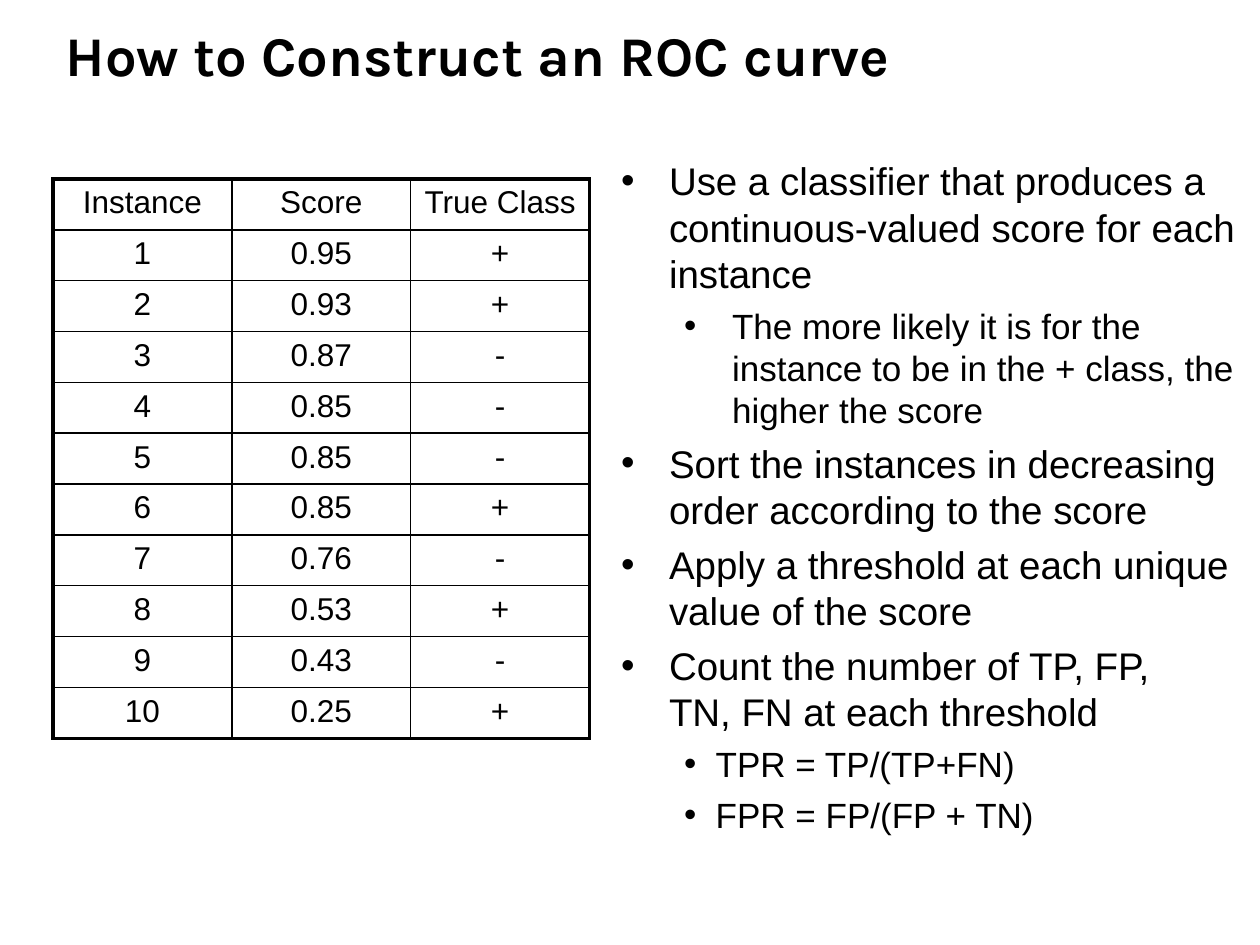
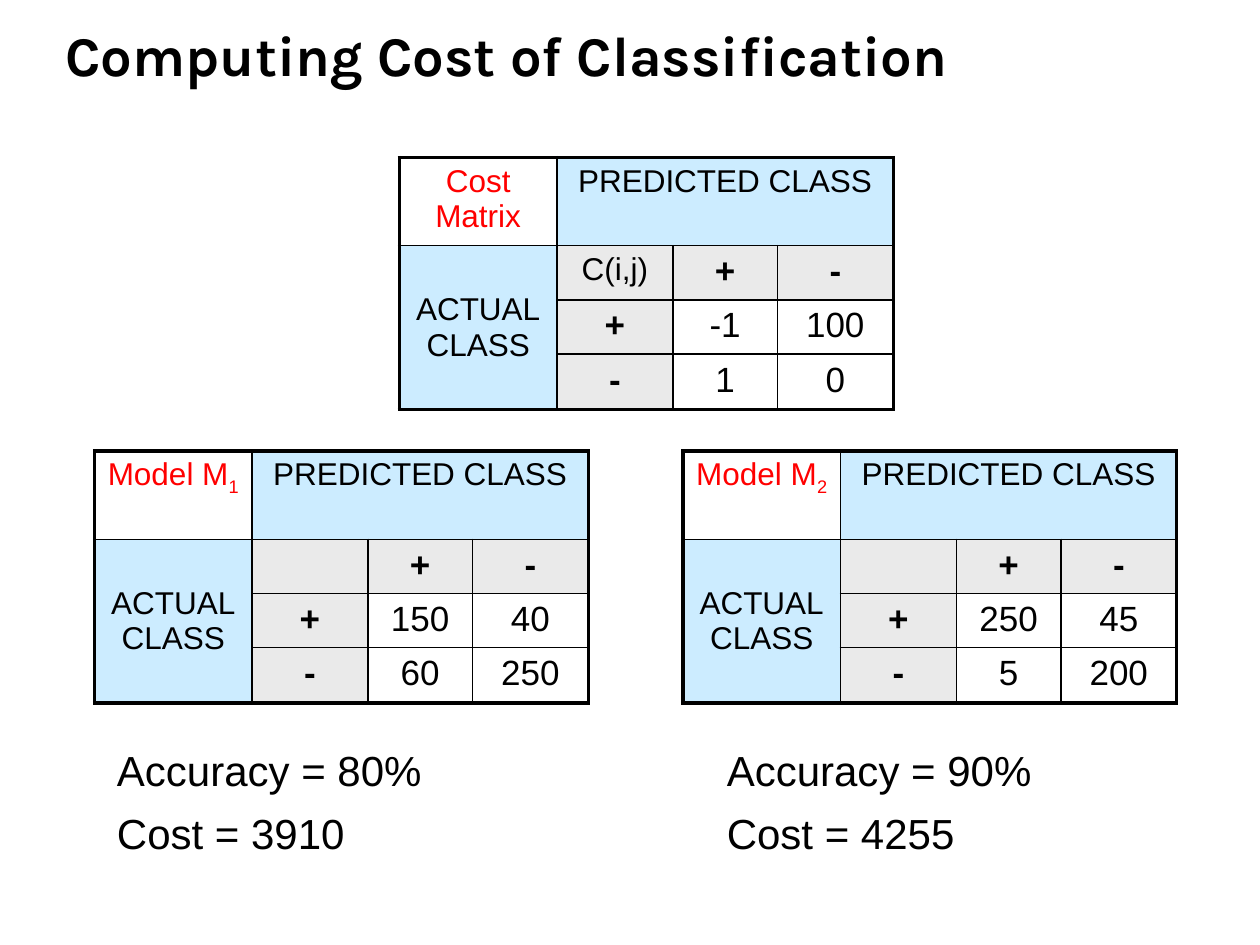
from dataclasses import dataclass

from lxml import etree
from pptx import Presentation
from pptx.dml.color import RGBColor
from pptx.enum.text import MSO_ANCHOR, MSO_AUTO_SIZE, PP_ALIGN
from pptx.oxml.ns import qn
from pptx.util import Inches, Pt

LEFT, CENTER = PP_ALIGN.LEFT, PP_ALIGN.CENTER
TOP, MIDDLE, BOTTOM = MSO_ANCHOR.TOP, MSO_ANCHOR.MIDDLE, MSO_ANCHOR.BOTTOM
NO_FIT = MSO_AUTO_SIZE.NONE
TITLE_AND_CONTENT, TITLE_ONLY = 1, 5


@dataclass(frozen=True)
class Theme:
    ink: str = "000000"
    accent: str = "FF0000"
    class_fill: str = "CCECFF"
    sign_fill: str = "EAEAEA"
    title_font: str = "Karla"
    body_font: str = "Arial"
    title_size: int = 32
    list_sizes: tuple = (22, 20)
    label_size: int = 18
    value_size: int = 20
    result_size: int = 24
    outer_line: float = 2.25
    inner_line: float = 1


def set_all(target, **values):
    for name, value in values.items():
        setattr(target, name, value)


class Deck:
    """Holds the theme and the current slide."""

    def __init__(self, theme):
        self.theme = theme
        self.prs = Presentation()
        set_all(self.prs, slide_width=Inches(10), slide_height=Inches(7.5))

    def place(self, shape, left, top, width, height):
        set_all(shape, left=Inches(left), top=Inches(top),
                width=Inches(width), height=Inches(height))

    def frame(self, tf, anchor=TOP, top=0.05, right=0.1):
        set_all(tf, word_wrap=True, auto_size=NO_FIT, vertical_anchor=anchor,
                margin_left=Inches(0.1), margin_right=Inches(right),
                margin_top=Inches(top), margin_bottom=Inches(0.05))

    def add_text(self, p, text, size, color=None, bold=False, font=None, subscript=""):
        """Fill a paragraph; a vertical tab in the text is a line break."""
        for i, line in enumerate(text.split("\v")):
            if i:
                p.add_line_break()
            for part in filter(None, (line, subscript)):
                r = p.add_run()
                r.text = part
                set_all(r.font, size=Pt(size), bold=bold,
                        name=font or self.theme.body_font)
                r.font.color.rgb = RGBColor.from_string(color or self.theme.ink)
        if subscript:
            r._r.get_or_add_rPr().set("baseline", "-25000")

    def slide(self, title, layout):
        self.s = self.prs.slides.add_slide(self.prs.slide_layouts[layout])
        sp = self.s.shapes.title
        self.place(sp, 0.42, 0.17, 9.06, 0.58)
        self.frame(sp.text_frame, BOTTOM)
        p = sp.text_frame.paragraphs[0]
        set_all(p, alignment=LEFT, line_spacing=Pt(36))
        self.add_text(p, title, self.theme.title_size, bold=True,
                      font=self.theme.title_font)

    def bullets(self, items, box):
        """Items are (level, left indent, hanging indent, text)."""
        sp = self.s.placeholders[1]
        self.place(sp, *box)
        tf = sp.text_frame
        self.frame(tf, top=0.08, right=0.05)
        for i, (level, indent, hang, text) in enumerate(items):
            p = tf.add_paragraph() if i else tf.paragraphs[0]
            pPr = p._p.get_or_add_pPr()
            pPr.set("marL", str(Inches(indent)))
            pPr.set("indent", str(-Inches(hang)))
            etree.SubElement(pPr, qn("a:buFont")).set("typeface", self.theme.body_font)
            etree.SubElement(pPr, qn("a:buChar")).set("char", "•")
            set_all(p, level=level, alignment=LEFT, space_before=Pt(5 if i else 0))
            self.add_text(p, text, self.theme.list_sizes[level])

    def text(self, lines, box):
        sp = self.s.shapes.add_textbox(0, 0, 0, 0)
        self.place(sp, *box)
        tf = sp.text_frame
        self.frame(tf, top=0.08)
        for i, line in enumerate(lines):
            p = tf.add_paragraph() if i else tf.paragraphs[0]
            p.space_before = Pt(7 if i else 0)
            self.add_text(p, line, self.theme.result_size)

    def table(self, left, top, widths, heights):
        frame = self.s.shapes.add_table(
            len(heights), len(widths), Inches(left), Inches(top),
            Inches(sum(widths)), Inches(sum(heights)))
        tbl = frame.table
        set_all(tbl, first_row=False, horz_banding=False)
        for col, width in zip(tbl.columns, widths):
            col.width = Inches(width)
        for row, height in zip(tbl.rows, heights):
            row.height = Inches(height)
        return tbl

    def cell(self, tbl, row, col, text, size, fill=None, anchor=TOP, **style):
        cell = tbl.cell(row, col)
        cell.vertical_anchor = anchor
        if fill:
            cell.fill.solid()
            cell.fill.fore_color.rgb = RGBColor.from_string(fill)
        else:
            cell.fill.background()
        p = cell.text_frame.paragraphs[0]
        p.alignment = CENTER
        self.add_text(p, text, size, **style)
        self.borders(tbl, cell, row, col)

    def borders(self, tbl, cell, row, col):
        """Heavy lines on the table's rim, thin lines inside."""
        rim = {"L": col == 0,
               "R": col + cell.span_width == len(tbl.columns),
               "T": row == 0,
               "B": row + cell.span_height == len(tbl.rows)}
        tcPr = cell._tc.get_or_add_tcPr()
        for i, (side, outer) in enumerate(rim.items()):
            width = self.theme.outer_line if outer else self.theme.inner_line
            ln = etree.Element(qn(f"a:ln{side}"), w=str(Pt(width)))
            fill = etree.SubElement(ln, qn("a:solidFill"))
            etree.SubElement(fill, qn("a:srgbClr"), val=self.theme.ink)
            tcPr.insert(i, ln)

    def score_table(self, rows, left, top):
        tbl = self.table(left, top, [1.42] * 3, [4.44 / len(rows)] * len(rows))
        for r, values in enumerate(rows):
            for c, value in enumerate(values):
                self.cell(tbl, r, c, value, self.theme.label_size)

    def class_matrix(self, name, counts, left, top, corner="", subscript=""):
        """Actual against predicted class, with a 2 by 2 block of counts."""
        t = self.theme
        tbl = self.table(left, top, [1.25, 0.92, 0.83, 0.92], [0.7, 0.43, 0.43, 0.44])
        tbl.cell(0, 1).merge(tbl.cell(0, 3))
        tbl.cell(1, 0).merge(tbl.cell(3, 0))
        # Labels
        self.cell(tbl, 0, 0, name, t.label_size, color=t.accent, subscript=subscript)
        self.cell(tbl, 0, 1, "PREDICTED CLASS", t.label_size, t.class_fill)
        self.cell(tbl, 1, 0, "ACTUAL\vCLASS", t.label_size, t.class_fill, MIDDLE)
        self.cell(tbl, 1, 1, corner, t.label_size, t.sign_fill)
        # Signs and counts
        for i, sign in enumerate("+-", start=2):
            for row, col in ((1, i), (i, 1)):
                self.cell(tbl, row, col, sign, t.value_size, t.sign_fill, bold=True)
            for j, count in enumerate(counts[i - 2], start=2):
                self.cell(tbl, i, j, str(count), t.value_size)


SCORES = [
    ("Instance", "Score", "True Class"),
    ("1", "0.95", "+"),
    ("2", "0.93", "+"),
    ("3", "0.87", "-"),
    ("4", "0.85", "-"),
    ("5", "0.85", "-"),
    ("6", "0.85", "+"),
    ("7", "0.76", "-"),
    ("8", "0.53", "+"),
    ("9", "0.43", "-"),
    ("10", "0.25", "+"),
]

ROC_STEPS = [
    (0, 0.38, 0.38, "Use a classifier that produces a continuous-valued score "
                    "for each instance"),
    (1, 0.88, 0.38, "The more likely it is for the instance to be in the + class, "
                    "the higher the score"),
    (0, 0.38, 0.38, "Sort the instances in decreasing order according to the score"),
    (0, 0.38, 0.38, "Apply a threshold at each unique value of the score"),
    (0, 0.38, 0.38, "Count the number of TP, FP,\vTN, FN at each threshold"),
    (1, 0.75, 0.25, "TPR = TP/(TP+FN)"),
    (1, 0.75, 0.25, "FPR = FP/(FP + TN)"),
]

# Subscript, counts, matrix left, results left, results
MODELS = [
    ("1", [(150, 40), (60, 250)], 0.75, 0.83, ("Accuracy = 80%", "Cost = 3910")),
    ("2", [(250, 45), (5, 200)], 5.42, 5.67, ("Accuracy = 90%", "Cost = 4255")),
]


def main():
    deck = Deck(Theme())

    # ROC curve
    deck.slide("How to Construct an ROC curve", TITLE_AND_CONTENT)
    deck.score_table(SCORES, 0.42, 1.42)
    deck.bullets(ROC_STEPS, (4.83, 1.17, 5.08, 5.54))

    # Cost of classification
    deck.slide("Computing Cost of Classification", TITLE_ONLY)
    deck.class_matrix("Cost Matrix", [(-1, 100), (1, 0)], 3.17, 1.25, corner="C(i,j)")
    for number, counts, left, results_left, results in MODELS:
        deck.class_matrix("Model M", counts, left, 3.58, subscript=number)
        deck.text(results, (results_left, 5.83, 3.33, 1.08))

    deck.prs.save("out.pptx")


if __name__ == "__main__":
    main()
